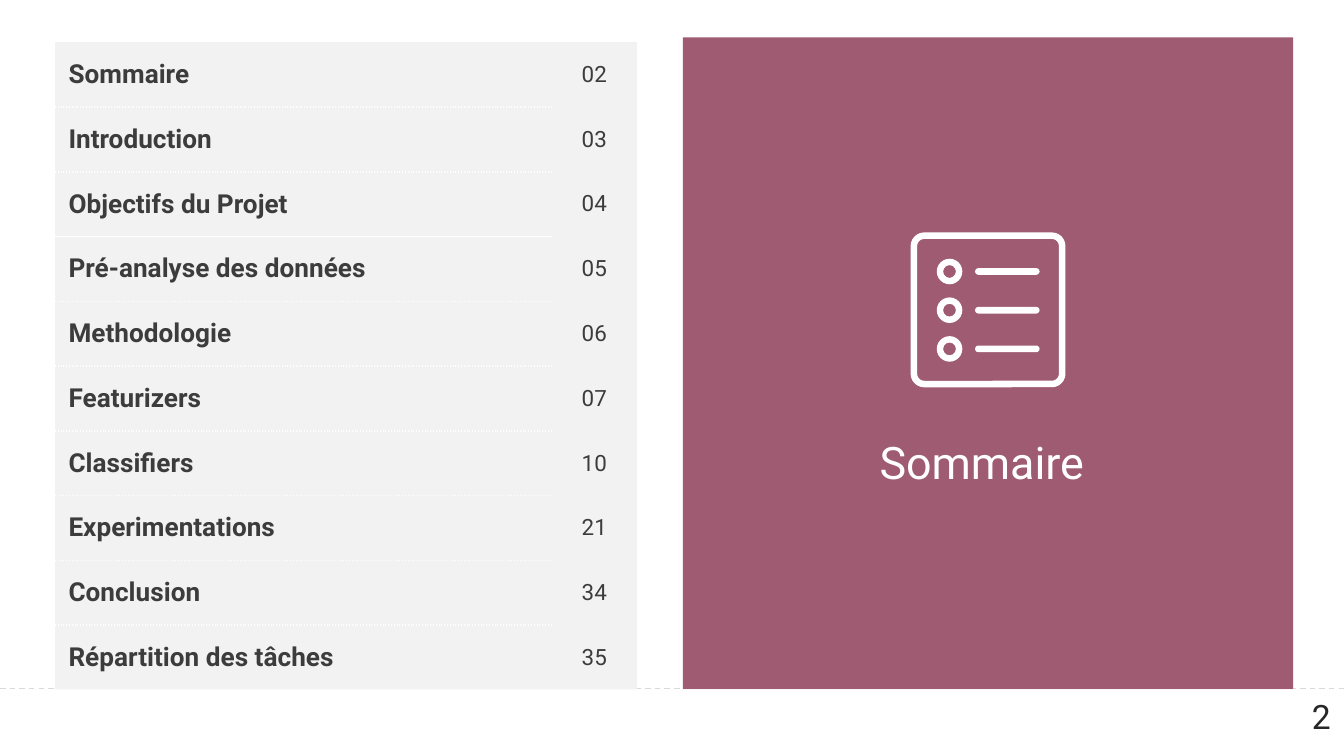
from lxml import etree
from pptx import Presentation
from pptx.dml.color import RGBColor
from pptx.enum.dml import MSO_LINE
from pptx.enum.shapes import MSO_CONNECTOR, MSO_SHAPE
from pptx.enum.text import MSO_ANCHOR, MSO_AUTO_SIZE, PP_ALIGN
from pptx.oxml.ns import qn
from pptx.util import Inches, Pt

RECT, ROUND, RING = MSO_SHAPE.RECTANGLE, MSO_SHAPE.ROUNDED_RECTANGLE, MSO_SHAPE.DONUT
STRAIGHT, DASH = MSO_CONNECTOR.STRAIGHT, MSO_LINE.DASH
TOP, MIDDLE = MSO_ANCHOR.TOP, MSO_ANCHOR.MIDDLE
LEFT, CENTER, RIGHT = PP_ALIGN.LEFT, PP_ALIGN.CENTER, PP_ALIGN.RIGHT
NO_FIT = MSO_AUTO_SIZE.NONE

WHITE = RGBColor(0xFF, 0xFF, 0xFF)
PLUM = RGBColor(0x9F, 0x5B, 0x72)
PALE = RGBColor(0xF2, 0xF2, 0xF2)
RULE = RGBColor(0xD9, 0xD9, 0xD9)
DARK = RGBColor(0x3C, 0x3C, 0x3C)
BLACK = RGBColor(0x26, 0x26, 0x26)

FONT = "Roboto"
NO_STYLE = "{2D5ABB26-0587-4C30-8999-92F81FD0307C}"
WIDTH = Inches(10)
HEIGHT = WIDTH * 9 // 16
SOLID_EDGE = 3  # the one row edge that is not dotted

TOPICS = [
    ("Sommaire", "02"),
    ("Introduction", "03"),
    ("Objectifs du Projet", "04"),
    ("Pré-analyse des données", "05"),
    ("Methodologie", "06"),
    ("Featurizers", "07"),
    ("Classifiers", "10"),
    ("Experimentations", "21"),
    ("Conclusion", "34"),
    ("Répartition des tâches", "35"),
]


def share(*parts):
    """Turn hundredths of the slide width into lengths."""
    return [int(WIDTH * part / 100) for part in parts]


def write(frame, text, size, color, align, bold=False):
    frame.text = text
    para = frame.paragraphs[0]
    para.alignment = align
    font = para.runs[0].font
    font.name, font.size, font.bold = FONT, Pt(size), bold
    font.color.rgb = color


def add_block(shapes, kind, place, fill, round_by=None):
    block = shapes.add_shape(kind, *share(*place))
    block.shadow.inherit = False
    block.fill.solid()
    block.fill.fore_color.rgb = fill
    block.line.fill.background()
    if round_by is not None:
        block.adjustments[0] = round_by
    return block


def add_rule(slide, y):
    line = slide.shapes.add_connector(STRAIGHT, *share(0, y, 100, y))
    line.line.color.rgb = RULE
    line.line.width = Pt(0.75)
    line.line.dash_style = DASH
    etree.SubElement(line.element.spPr, qn("a:effectLst"))


def add_edge(cell, side, dash):
    props = cell._tc.get_or_add_tcPr()
    edge = etree.SubElement(props, qn(side), w=str(Pt(1)))
    fill = etree.SubElement(edge, qn("a:solidFill"))
    etree.SubElement(fill, qn("a:srgbClr"), val=str(WHITE))
    etree.SubElement(edge, qn("a:prstDash"), val=dash)


def fill_cell(cell, text, size, align, bold):
    cell.fill.solid()
    cell.fill.fore_color.rgb = PALE
    cell.vertical_anchor = MIDDLE
    cell.margin_left = cell.margin_right = Inches(0.1)
    cell.margin_top = cell.margin_bottom = Inches(0.1)
    write(cell.text_frame, text, size, DARK, align, bold)


def add_topics(slide):
    count = len(TOPICS)
    frame = slide.shapes.add_table(count, 2, *share(4.1, 3.15, 43.3, 48.2))
    table = frame.table
    table.first_row = table.horz_banding = False
    for style in frame.element.iter(qn("a:tableStyleId")):
        style.text = NO_STYLE
    table.columns[0].width, table.columns[1].width = share(36.95, 6.35)
    for row, (topic, page) in enumerate(TOPICS):
        name = table.cell(row, 0)
        for side, edge in (("a:lnT", row), ("a:lnB", row + 1)):
            if 0 < edge < count:
                add_edge(name, side, "solid" if edge == SOLID_EDGE else "sysDot")
        fill_cell(name, topic, 14, LEFT, True)
        fill_cell(table.cell(row, 1), page, 12, CENTER, False)


def add_icon(slide):
    """Draw a framed list of three ringed lines."""
    shapes = slide.shapes.add_group_shape().shapes
    frame = add_block(shapes, ROUND, (68, 17.54, 11.04, 11.04), WHITE, 0.07)
    frame.fill.background()
    frame.line.color.rgb = WHITE
    frame.line.width = Pt(3.5)
    for row in range(3):
        y = 19.25 + 2.88 * row
        add_block(shapes, RING, (69.7, y, 1.9, 1.9), WHITE, 0.25)
        add_block(shapes, ROUND, (72.55, y + 0.7, 4.8, 0.5), WHITE, 0.5)


def set_title(slide, text):
    title = slide.shapes.title
    title.left, title.top, title.width, title.height = share(54.7, 32.37, 36.7, 4)
    # Bring the title in front of the panel.
    title.element.getparent().append(title.element)
    frame = title.text_frame
    write(frame, text, 24, WHITE, CENTER)
    frame.auto_size = NO_FIT
    frame.vertical_anchor = MIDDLE
    frame.margin_left = frame.margin_right = 0
    frame.margin_top = frame.margin_bottom = 0


def add_footer(slide, page):
    bar = add_block(slide.shapes, RECT, (0, 51.3, 100, 4.95), WHITE)
    bar.text_frame.vertical_anchor = TOP
    write(bar.text_frame, page, 18, BLACK, RIGHT)


def main():
    deck = Presentation()
    deck.slide_width, deck.slide_height = WIDTH, HEIGHT
    slide = deck.slides.add_slide(deck.slide_layouts[5])
    add_rule(slide, 51.22)
    add_block(slide.shapes, RECT, (50.82, 2.78, 45.4, 48.5), PLUM)
    add_topics(slide)
    add_icon(slide)
    set_title(slide, "Sommaire")
    add_footer(slide, "2")
    deck.save("out.pptx")


if __name__ == "__main__":
    main()
